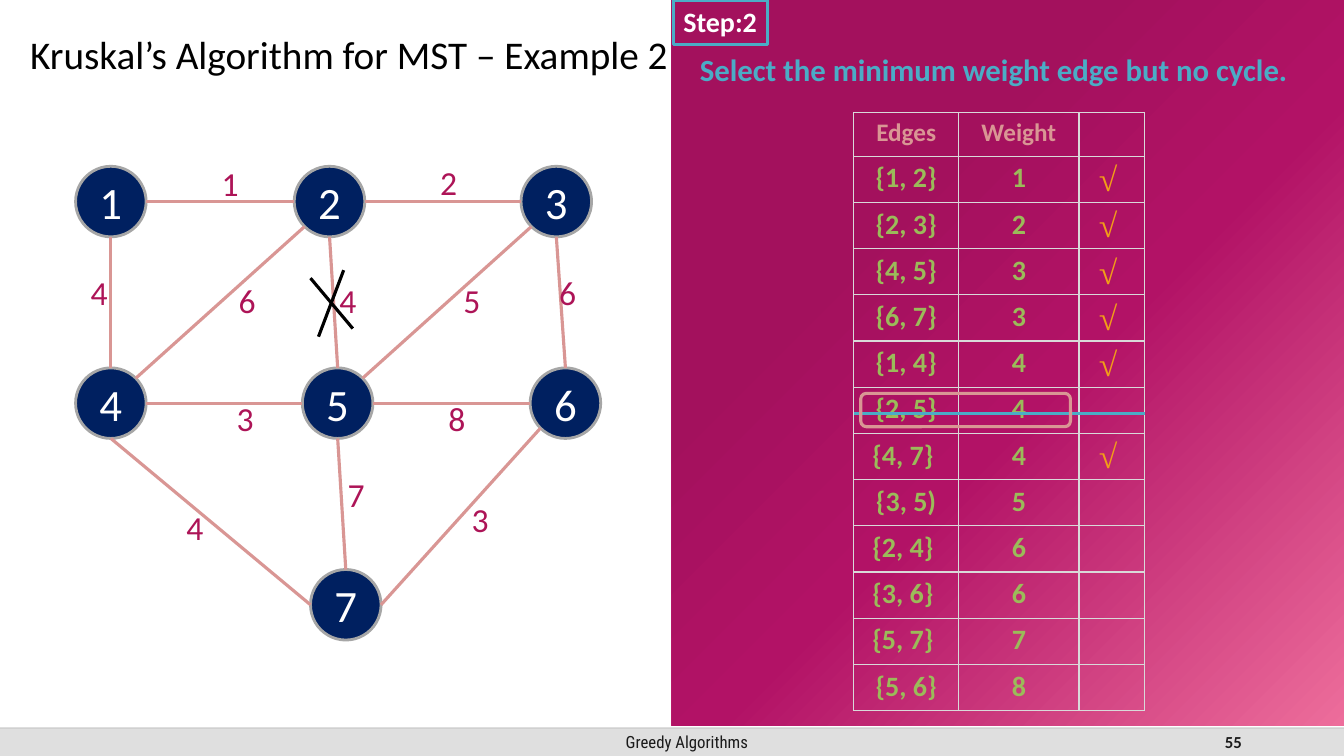
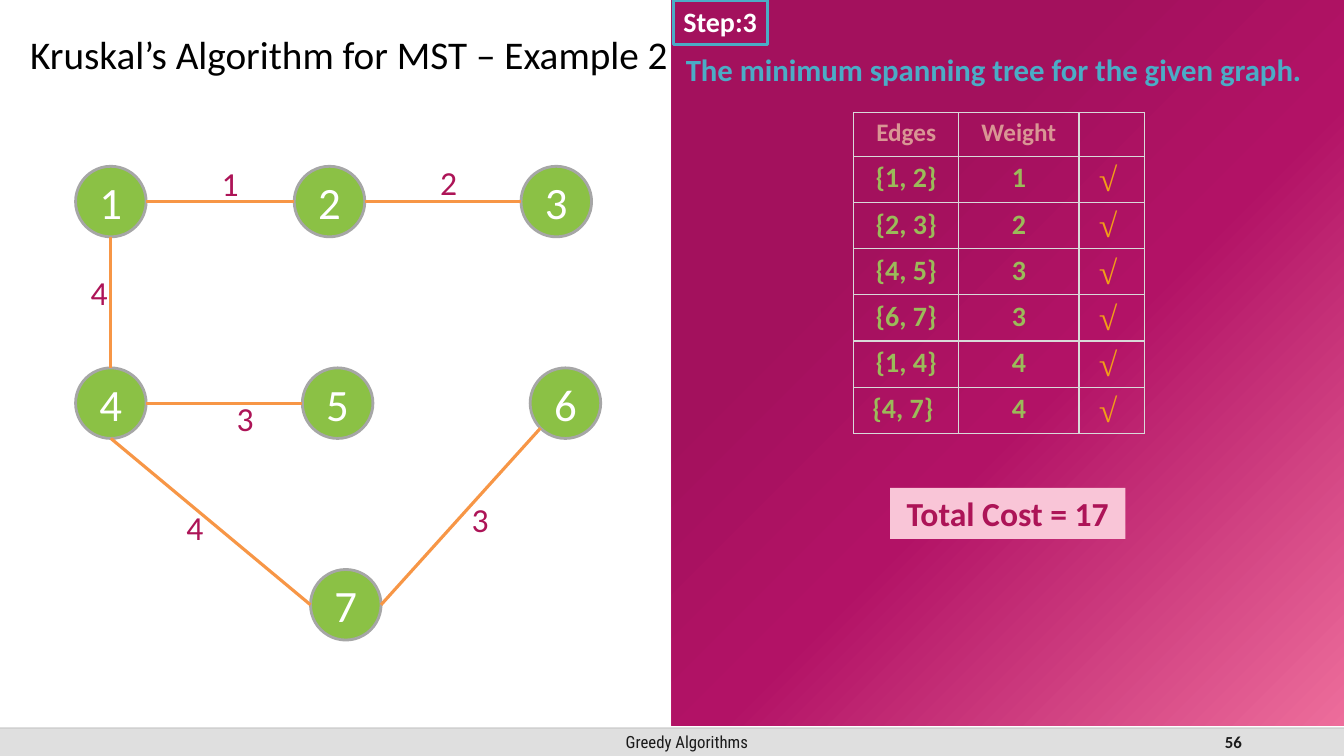
import dataclasses

import lxml.etree
import pptx
import pptx.dml.color
import pptx.enum.shapes
import pptx.enum.text
import pptx.oxml
import pptx.oxml.ns
import pptx.util

Pt = pptx.util.Pt
SHAPE = pptx.enum.shapes.MSO_SHAPE
ALIGN = pptx.enum.text.PP_ALIGN
ANCHOR = pptx.enum.text.MSO_ANCHOR
QN = pptx.oxml.ns.qn
NAMESPACE = pptx.oxml.ns.nsdecls("a")


@dataclasses.dataclass(frozen=True)
class Box:
    left: float
    top: float
    width: float
    height: float

    def inner(self, left, top, width, height):
        return Box(self.left + left, self.top + top, width, height)

    def point(self, across, down):
        return self.left + across, self.top + down

    def points(self):
        return [Pt(value) for value in (self.left, self.top, self.width, self.height)]


def style(color, size, name="Calibri", **extra):
    return {"color": color, "font": {"size": Pt(size), "name": name, **extra}}


class Theme:
    # Colours
    band, rule, ring, grid = "DFDFDF", "BFBFBF", "A6A6A6", "D9D9D9"
    rose, teal, orange, black = "D99694", "4BACC6", "F79646", "000000"
    navy, green, blush, magenta = "002060", "8BC145", "F9C5D7", "AD1457"
    panel_stops = ((30, "A3115D"), (55, "B21266"), (100, "ED6D9B"))
    stroke = 2.25
    # Type
    title = style(black, 28)
    footer = style("1A1A1A", 12, "Roboto Condensed")
    number = style("1A1A1A", 12, bold=True)
    node = style("FFFFFF", 32)
    weight = style(magenta, 24)
    step = style("FFFFFF", 20, bold=True)
    heading = style(teal, 22, bold=True)
    table_head = style(rose, 18, bold=True)
    table_body = style("9BBB59", 20, bold=True)
    check = style("F19D19", 24, "Times New Roman", bold=True, italic=True)
    total = style(magenta, 24, bold=True)


# Regions of the page
BAND = Box(0, 520, 960, 20)
TITLE = Box(0, 0.7, 489.6, 58.6)
GRAPH = Box(54, 118.8, 375.1, 338.4)
PANEL = Box(480, 0, 480, 518.4)

# Graph data, relative to the graph box
DIAMETER = 50.4
NODES = {1: (0, 0), 2: (156.2, 0), 3: (318.2, 0),
         4: (0, 144), 5: (162, 144), 6: (324.7, 144), 7: (167.8, 288)}
DIAGONAL = 0.71
SITES = {"top": (0, -1), "bottom": (0, 1), "left": (-1, 0), "right": (1, 0),
         "upper right": (DIAGONAL, -DIAGONAL), "lower left": (-DIAGONAL, DIAGONAL)}
# Start node, its site, end node, its site, weight, place of the weight
EDGES = [
    (1, "right", 2, "left", 1, (97.2, -5.8)),
    (2, "right", 3, "left", 2, (253.4, -6.5)),
    (4, "right", 5, "left", 3, (108, 162)),
    (5, "right", 6, "left", 8, (259.2, 162)),
    (1, "bottom", 4, "top", 4, (3.6, 72)),
    (2, "bottom", 5, "top", 4, (181.4, 77.8)),
    (3, "bottom", 6, "top", 6, (338.4, 72)),
    (4, "upper right", 2, "lower left", 6, (109.4, 77.8)),
    (5, "upper right", 3, "lower left", 5, (270, 77.8)),
    (6, "lower left", 7, "right", 3, (275.8, 234)),
    (4, "bottom", 7, "left", 4, (72, 239.8)),
    (5, "bottom", 7, "top", 7, (187.2, 216)),
]
TREE = {(1, 2), (2, 3), (4, 5), (1, 4), (6, 7), (4, 7)}
CROSS = [((191.5, 74.2), (173.5, 121.7)), ((167.8, 79.9), (198, 115.9))]

# Table data: edge, weight, chosen
CHOSEN = [("{1, 2}", 1, True), ("{2, 3}", 2, True), ("{4, 5}", 3, True),
          ("{6, 7}", 3, True), ("{1, 4}", 4, True)]
LAST_CHOSEN = ("{4, 7} ", 4, True)
ALL_ROWS = CHOSEN + [
    ("{2, 5}", 4, False), LAST_CHOSEN, ("{3, 5)", 5, False), ("{2, 4} ", 6, False),
    ("{3, 6} ", 6, False), ("{5, 7} ", 7, False), ("{5, 6}", 8, False)]
REJECTED_ROW = 5
COLUMNS = (75, 86, 47)
HEAD_HEIGHT, ROW_HEIGHT = 31.2, 33


def rgb(color):
    return pptx.dml.color.RGBColor.from_string(color)


def set_all(target, values):
    for name, value in values.items():
        setattr(target, name, value)


def write(frame, text, look, align=ALIGN.LEFT, **frame_values):
    set_all(frame, {"word_wrap": True, **frame_values})
    para = frame.paragraphs[0]
    para.alignment = align
    span = para.add_run()
    span.text = text
    set_all(span.font, look["font"])
    span.font.color.rgb = rgb(look["color"])
    return para


def add_text(page, box, text, look, align=ALIGN.LEFT, anchor=ANCHOR.TOP):
    label = page.shapes.add_textbox(*box.points())
    write(label.text_frame, text, look, align, vertical_anchor=anchor)
    return label


def add_figure(page, kind, box, fill=None, line=None, width=Theme.stroke):
    figure = page.shapes.add_shape(kind, *box.points())
    figure.shadow.inherit = False
    if fill:
        figure.fill.solid()
        figure.fill.fore_color.rgb = rgb(fill)
    else:
        figure.fill.background()
    if line:
        figure.line.color.rgb = rgb(line)
        figure.line.width = Pt(width)
    else:
        figure.line.fill.background()
    return figure


def add_line(shapes, start, end, color, width=Theme.stroke):
    line = shapes.add_connector(pptx.enum.shapes.MSO_CONNECTOR.STRAIGHT,
                                *[Pt(value) for value in (*start, *end)])
    line.line.color.rgb = rgb(color)
    line.line.width = Pt(width)
    lxml.etree.SubElement(line.element.spPr, QN("a:effectLst"))
    return line


def build_footer(page, layout, box):
    """Draw the shared footer and hand it to the layout."""
    band = add_figure(page, SHAPE.ROUNDED_RECTANGLE, box, Theme.band)
    band.adjustments[0] = 0
    caption = add_text(page, box.inner(318.2, 0, 344.9, box.height), "Greedy Algorithms",
                       Theme.footer, ALIGN.CENTER, ANCHOR.MIDDLE)
    rule = add_line(page.shapes, box.point(0, 0), box.point(box.width, 0), Theme.rule, 1)
    color = next(rule.element.spPr.iter(QN("a:srgbClr")))
    lxml.etree.SubElement(color, QN("a:alpha"), val="70000")
    for part in (band, caption, rule):
        layout.shapes.element.append(part.element)


def build_title(page, box, text):
    title = page.shapes.title
    set_all(title, dict(zip(("left", "top", "width", "height"), box.points())))
    para = write(title.text_frame, text, Theme.title,
                 auto_size=pptx.enum.text.MSO_AUTO_SIZE.NONE,
                 vertical_anchor=ANCHOR.MIDDLE, margin_left=Pt(21.6),
                 margin_right=Pt(7.2), margin_top=Pt(3.6), margin_bottom=Pt(3.6))
    para.line_spacing = 1.5


def build_graph(page, box, edges, node_color, edge_color):
    radius = DIAMETER / 2

    def site(node, name):
        left, top = NODES[node]
        across, down = SITES[name]
        return box.point(left + radius * (1 + across), top + radius * (1 + down))

    # Nodes
    for node, place in NODES.items():
        circle = add_figure(page, SHAPE.OVAL, box.inner(*place, DIAMETER, DIAMETER),
                            node_color, Theme.ring, 2)
        write(circle.text_frame, str(node), Theme.node, ALIGN.CENTER,
              vertical_anchor=ANCHOR.MIDDLE)
    # Edges and weights
    for start, start_site, end, end_site, weight, place in edges:
        add_line(page.shapes, site(start, start_site), site(end, end_site), edge_color)
        add_text(page, box.inner(*place, 28.8, 36), str(weight), Theme.weight)


def build_cross(page, box):
    cross = page.shapes.add_group_shape()
    for start, end in CROSS:
        add_line(cross.shapes, box.point(*start), box.point(*end), Theme.black)


def build_panel(page, box, step, heading):
    # Gradient ground
    ground = add_figure(page, SHAPE.RECTANGLE, box)
    stops = "".join(f'<a:gs pos="{place * 1000}"><a:srgbClr val="{color}"/></a:gs>'
                    for place, color in Theme.panel_stops)
    gradient = pptx.oxml.parse_xml(
        f'<a:gradFill {NAMESPACE} rotWithShape="1"><a:gsLst>{stops}</a:gsLst>'
        '<a:path path="circle"><a:fillToRect r="100000" b="100000"/></a:path></a:gradFill>')
    properties = ground.element.spPr
    properties.replace(properties.find(QN("a:noFill")), gradient)
    # Step tag and heading
    tag = add_figure(page, SHAPE.RECTANGLE, box.inner(1, 0, 67, 31.6), line=Theme.teal)
    write(tag.text_frame, step, Theme.step, word_wrap=False, vertical_anchor=ANCHOR.TOP)
    add_text(page, box.inner(0, 33, 459.4, 34), heading, Theme.heading, ALIGN.CENTER)


def format_cell(cell):
    cell.fill.background()
    properties = cell._tc.get_or_add_tcPr()
    for index, side in enumerate(("lnL", "lnR", "lnT", "lnB")):
        properties.insert(index, pptx.oxml.parse_xml(
            f'<a:{side} {NAMESPACE} w="12700"><a:solidFill>'
            f'<a:srgbClr val="{Theme.grid}"/></a:solidFill></a:{side}>'))


def build_table(page, panel, rows):
    """Place the edge table in the panel and return its box."""
    box = panel.inner(129.8, 80.4, sum(COLUMNS), HEAD_HEIGHT + ROW_HEIGHT * len(rows))
    table = page.shapes.add_table(len(rows) + 1, len(COLUMNS), *box.points()).table
    set_all(table, {"first_row": False, "horz_banding": False})
    for column, width in zip(table.columns, COLUMNS):
        column.width = Pt(width)
    for index, row in enumerate(table.rows):
        row.height = Pt(ROW_HEIGHT if index else HEAD_HEIGHT)
        texts = rows[index - 1][:2] if index else ("Edges", "Weight")
        look = Theme.table_body if index else Theme.table_head
        for cell in row.cells:
            format_cell(cell)
        for cell, text in zip(row.cells, texts):
            write(cell.text_frame, str(text), look, ALIGN.CENTER)
    # Check marks
    for index, (_, _, chosen) in enumerate(rows):
        if chosen:
            mark = add_figure(page, SHAPE.ROUNDED_RECTANGLE,
                              box.inner(163.5, 30.4 + ROW_HEIGHT * index, 36, ROW_HEIGHT))
            write(mark.text_frame, "√ ", Theme.check, ALIGN.CENTER,
                  vertical_anchor=ANCHOR.MIDDLE)
    return box


def build_rejection(page, table_box, row):
    top = HEAD_HEIGHT + ROW_HEIGHT * row
    middle = top + ROW_HEIGHT / 2 + 2
    add_line(page.shapes, table_box.point(0, middle),
             table_box.point(table_box.width, middle), Theme.teal)
    add_figure(page, SHAPE.ROUNDED_RECTANGLE, table_box.inner(5, top + 4.4, 149.8, 23.8),
               line=Theme.rose)


def build_total(page, panel, text):
    plate = add_figure(page, SHAPE.RECTANGLE, panel.inner(155.8, 348.5, 168, 36.4),
                       Theme.blush)
    write(plate.text_frame, text, Theme.total, ALIGN.CENTER, word_wrap=False,
          vertical_anchor=ANCHOR.TOP)


def build_page(deck, number, step, heading, edges, node_color, edge_color, rows):
    """Lay out what both slides share; return the page and its table box."""
    layout = deck.slide_layouts[5]
    page = deck.slides.add_slide(layout)
    if len(deck.slides) == 1:
        build_footer(page, layout, BAND)
    add_text(page, BAND.inner(678.2, 0, 216, BAND.height), number, Theme.number,
             ALIGN.RIGHT, ANCHOR.MIDDLE)
    build_panel(page, PANEL, step, heading)
    build_title(page, TITLE, "Kruskal’s Algorithm for MST – Example 2")
    build_graph(page, GRAPH, edges, node_color, edge_color)
    return page, build_table(page, PANEL, rows)


def main():
    deck = pptx.Presentation()
    set_all(deck, {"slide_width": Pt(960), "slide_height": Pt(540)})

    # Step 2: one edge rejected
    page, table_box = build_page(
        deck, "55", "Step:2", "Select the minimum weight edge but no cycle.",
        EDGES, Theme.navy, Theme.rose, ALL_ROWS)
    build_rejection(page, table_box, REJECTED_ROW)
    build_cross(page, GRAPH)

    # Step 3: the finished tree
    tree_edges = [edge for edge in EDGES if (edge[0], edge[2]) in TREE]
    page, _ = build_page(
        deck, "56", "Step:3", "The minimum spanning tree for the given graph.",
        tree_edges, Theme.green, Theme.orange, CHOSEN + [LAST_CHOSEN])
    build_total(page, PANEL, "Total Cost = 17")

    deck.save("out.pptx")


if __name__ == "__main__":
    main()
